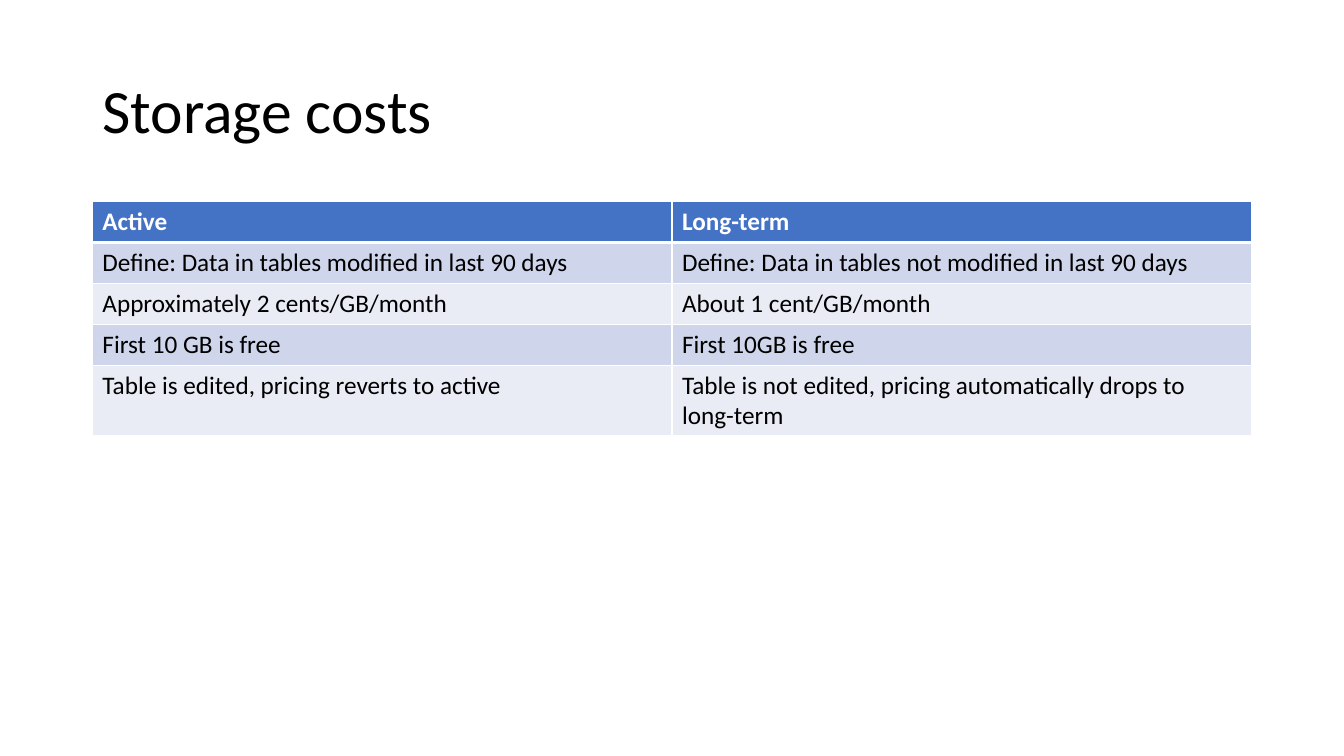
import pptx
import pptx.dml.color
import pptx.enum.text
import pptx.util
from lxml import etree

Pt = pptx.util.Pt
RGB = pptx.dml.color.RGBColor

TITLE = "Storage costs"
ROWS = [
    ("Active", "Long-term"),
    ("Define: Data in tables modified in last 90 days",
     "Define: Data in tables not modified in last 90 days"),
    ("Approximately 2 cents/GB/month", "About 1 cent/GB/month"),
    ("First 10 GB is free", "First 10GB is free"),
    ("Table is edited, pricing reverts to active",
     "Table is not edited, pricing automatically drops to long-term"),
]

FONT = "Calibri"
BLACK = RGB(0x00, 0x00, 0x00)
WHITE = RGB(0xFF, 0xFF, 0xFF)
BLUE = RGB(0x44, 0x72, 0xC4)
BANDS = [RGB(0xE9, 0xEB, 0xF5), RGB(0xCF, 0xD5, 0xEA)]

LEFT, WIDTH = 66, 828
TITLE_TOP, TITLE_HIGH = 28.75, 104.4
TABLE_TOP, ROW_HIGH, LAST_HIGH = 144, 29.2, 50.4
THIN, THICK = 1, 3


def write(frame, text, size, color, bold=False):
    para = frame.paragraphs[0]
    run = para.add_run()
    run.text = text
    run.font.name = FONT
    run.font.size = Pt(size)
    run.font.bold = bold
    run.font.color.rgb = color
    return para


def edge(cell, side, width):
    """Draw a white border on one side (L, R, T or B) of a cell."""
    props = cell._tc.get_or_add_tcPr()
    space = "{" + props.nsmap["a"] + "}"
    line = etree.SubElement(props, space + "ln" + side, w=str(Pt(width)))
    fill = etree.SubElement(line, space + "solidFill")
    etree.SubElement(fill, space + "srgbClr", val=str(WHITE))


def add_title(slide):
    box = slide.shapes.add_textbox(
        Pt(LEFT), Pt(TITLE_TOP), Pt(WIDTH), Pt(TITLE_HIGH))
    frame = box.text_frame
    frame.word_wrap = True
    frame.vertical_anchor = pptx.enum.text.MSO_ANCHOR.MIDDLE
    write(frame, TITLE, 44, BLACK).line_spacing = 0.9


def add_costs(slide):
    highs = [ROW_HIGH] * (len(ROWS) - 1) + [LAST_HIGH]
    count = len(ROWS[0])
    table = slide.shapes.add_table(
        len(ROWS), count, Pt(LEFT), Pt(TABLE_TOP),
        Pt(WIDTH), Pt(sum(highs))).table
    for col in table.columns:
        col.width = Pt(WIDTH / count)
    for r, texts in enumerate(ROWS):
        table.rows[r].height = Pt(highs[r])
        head = r == 0
        widths = {"L": THIN, "R": THIN,
                  "T": THICK if r == 1 else THIN,
                  "B": THICK if head else THIN}
        for c, text in enumerate(texts):
            cell = table.cell(r, c)
            for side, width in widths.items():
                edge(cell, side, width)
            cell.fill.solid()
            cell.fill.fore_color.rgb = BLUE if head else BANDS[r % 2]
            write(cell.text_frame, text, 18, WHITE if head else BLACK, head)


def main():
    deck = pptx.Presentation()
    deck.slide_width, deck.slide_height = Pt(960), Pt(540)
    slide = deck.slides.add_slide(deck.slide_layouts[6])
    add_title(slide)
    add_costs(slide)
    deck.save("out.pptx")


if __name__ == "__main__":
    main()
